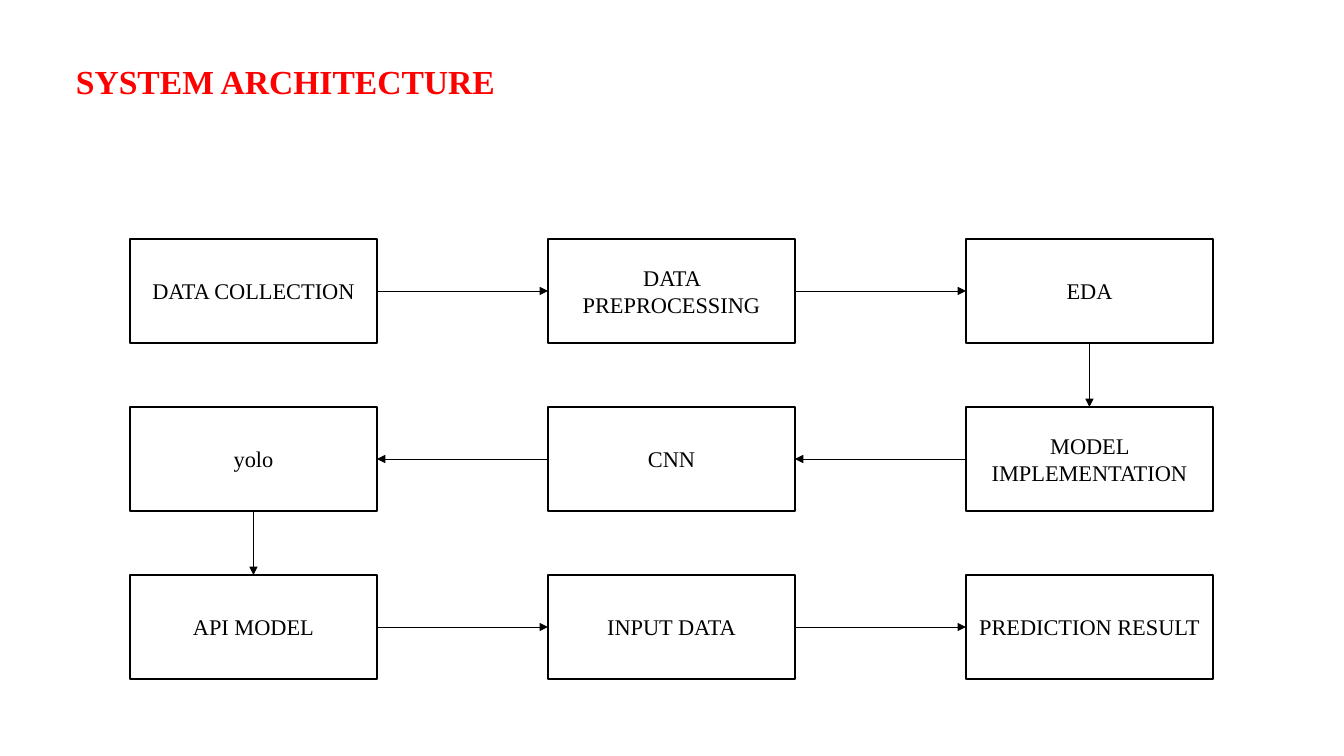
from itertools import pairwise

from lxml import etree
from pptx import Presentation
from pptx.dml.color import RGBColor
from pptx.enum.shapes import MSO_CONNECTOR, MSO_SHAPE
from pptx.enum.text import MSO_ANCHOR, PP_ALIGN
from pptx.oxml.ns import qn
from pptx.util import Pt

RECTANGLE = MSO_SHAPE.RECTANGLE
STRAIGHT = MSO_CONNECTOR.STRAIGHT
MIDDLE = MSO_ANCHOR.MIDDLE
LEFT, CENTER = PP_ALIGN.LEFT, PP_ALIGN.CENTER

EMU_PER_PX = 914400 / 100.8
COLORS = {"title": "FF0000", "ink": "000000", "paper": "FFFFFF"}
FONT = "Times New Roman"
TITLE_FONT = {"name": FONT, "size": Pt(24), "bold": True}
STEP_FONT = {"name": FONT, "size": Pt(16), "bold": False}

TITLE_BOX = (66, 60, 1210, 655)
FLOW_BOX = (130, 239, 1083, 440)
STEP_SIZE = (247, 104)
COLUMNS, ROWS = 3, 3
STEPS = [
    "DATA COLLECTION", "DATA PREPROCESSING", "EDA",
    "MODEL IMPLEMENTATION", "CNN", "yolo",
    "API MODEL", "INPUT DATA", "PREDICTION RESULT",
]
SITE_TOP, SITE_LEFT, SITE_BOTTOM, SITE_RIGHT = range(4)


def px(length):
    return round(length * EMU_PER_PX)


def color(name):
    return RGBColor.from_string(COLORS[name])


def write_text(frame, text, font, ink, align):
    frame.word_wrap = True
    para = frame.paragraphs[0]
    para.alignment = align
    span = para.add_run()
    span.text = text
    for key, value in font.items():
        setattr(span.font, key, value)
    span.font.color.rgb = color(ink)


def add_title(page, box):
    frame = page.shapes.add_textbox(*map(px, box)).text_frame
    write_text(frame, "SYSTEM ARCHITECTURE", TITLE_FONT, "title", LEFT)
    frame.paragraphs[0].line_spacing = 0.9


def add_step(page, box, text):
    step = page.shapes.add_shape(RECTANGLE, *map(px, box))
    step.shadow.inherit = False
    step.fill.solid()
    step.fill.fore_color.rgb = color("paper")
    step.line.color.rgb = color("ink")
    step.line.width = Pt(1)
    step.text_frame.vertical_anchor = MIDDLE
    write_text(step.text_frame, text, STEP_FONT, "ink", CENTER)
    return step


def add_arrow(page, start, end):
    if start.left == end.left:
        sites = SITE_BOTTOM, SITE_TOP
    elif start.left < end.left:
        sites = SITE_RIGHT, SITE_LEFT
    else:
        sites = SITE_LEFT, SITE_RIGHT
    arrow = page.shapes.add_connector(STRAIGHT, 0, 0, 0, 0)
    arrow.begin_connect(start, sites[0])
    arrow.end_connect(end, sites[1])
    arrow.line.color.rgb = color("ink")
    arrow.line.width = Pt(0.5)
    etree.SubElement(arrow.line._get_or_add_ln(), qn("a:tailEnd"), type="triangle")
    etree.SubElement(arrow._element.spPr, qn("a:effectLst"))


def add_flow(page, box):
    left, top, width, height = box
    step_width, step_height = STEP_SIZE
    pitch_x = (width - step_width) // (COLUMNS - 1)
    pitch_y = (height - step_height) // (ROWS - 1)
    steps = []
    for index, text in enumerate(STEPS):
        row, column = divmod(index, COLUMNS)
        if row % 2:
            column = COLUMNS - 1 - column
        place = (left + column * pitch_x, top + row * pitch_y, *STEP_SIZE)
        steps.append(add_step(page, place, text))
    for start, end in pairwise(steps):
        add_arrow(page, start, end)


def main():
    deck = Presentation()
    deck.slide_width, deck.slide_height = px(1344), px(756)
    page = deck.slides.add_slide(deck.slide_layouts[6])
    add_title(page, TITLE_BOX)
    add_flow(page, FLOW_BOX)
    deck.save("out.pptx")


if __name__ == "__main__":
    main()
